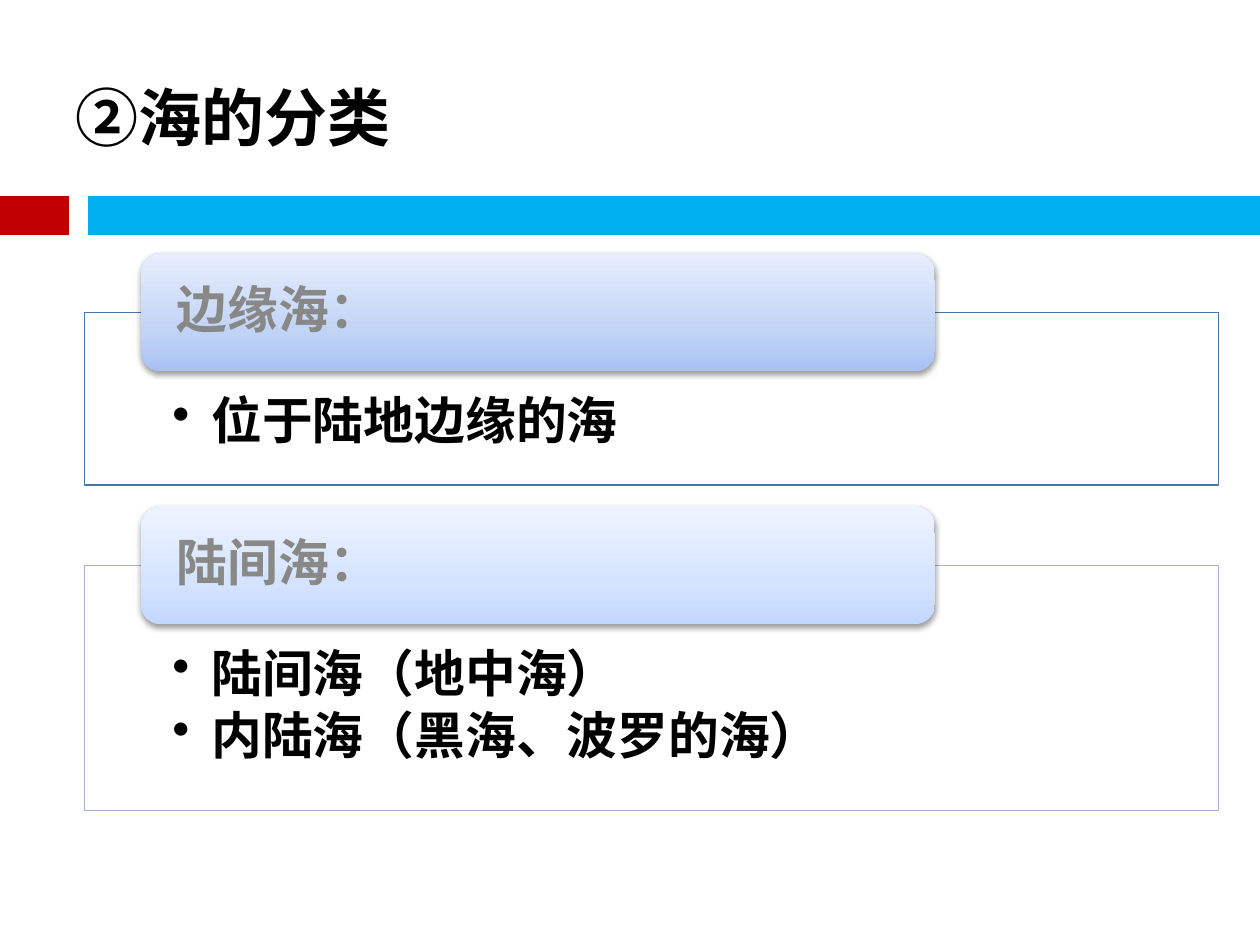
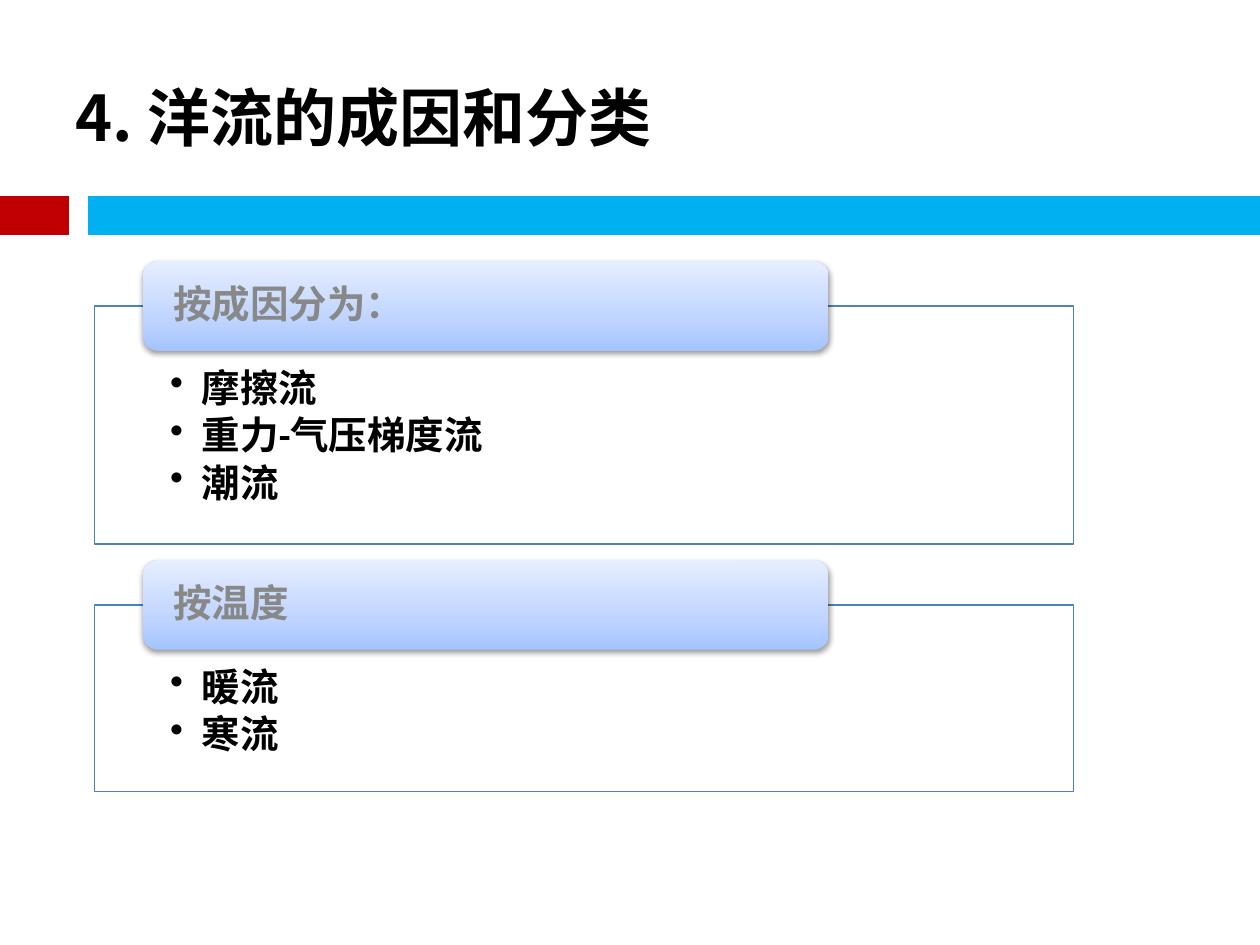
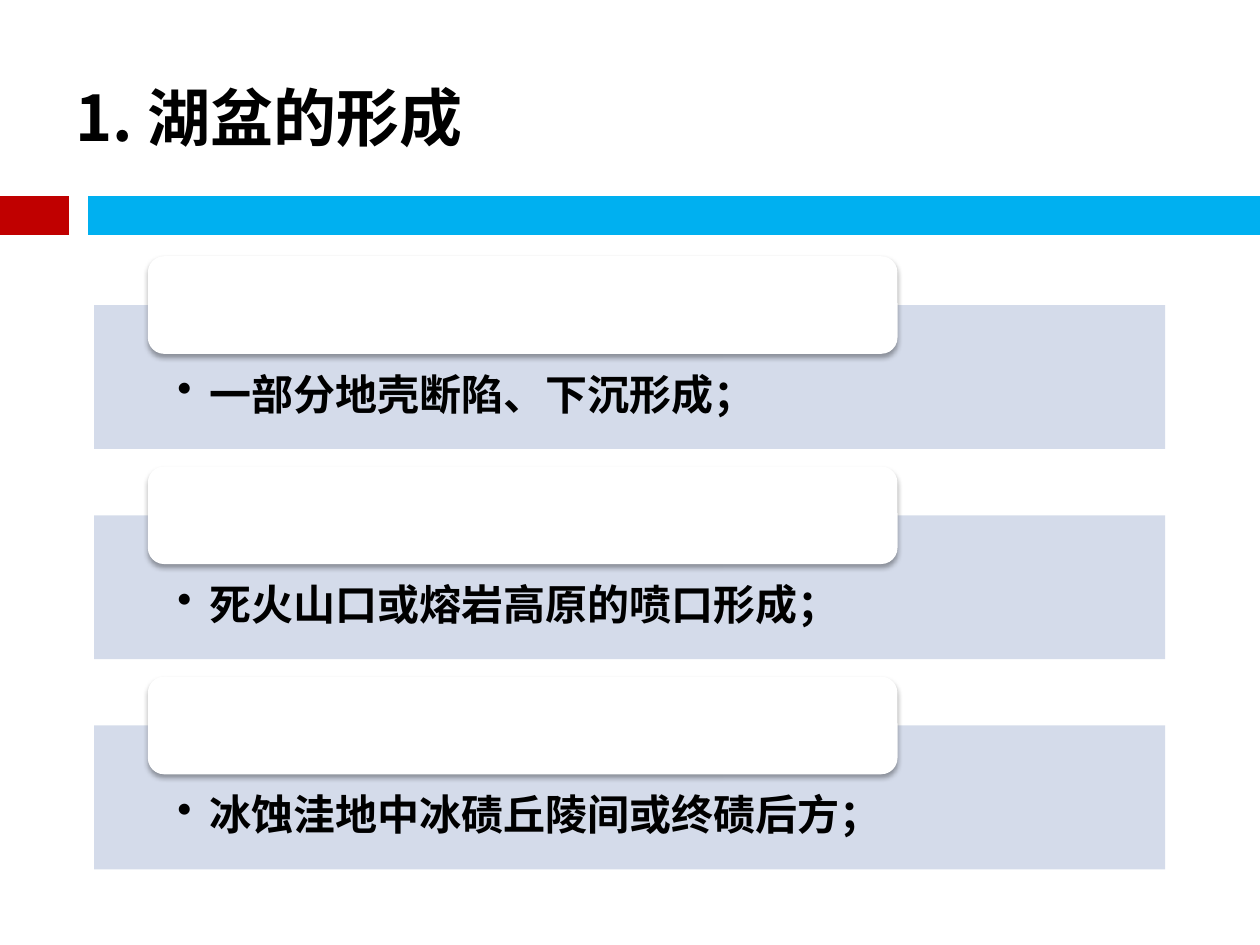
from dataclasses import dataclass

from lxml.etree import SubElement
from pptx import Presentation
from pptx.dml.color import RGBColor
from pptx.enum.shapes import MSO_CONNECTOR, MSO_SHAPE
from pptx.enum.text import MSO_ANCHOR, MSO_AUTO_SIZE, PP_ALIGN
from pptx.oxml.ns import qn
from pptx.util import Cm, Pt

TITLE_FONT, BODY_FONT = "Noto Sans CJK SC", "Calibri"
BLACK, GREY, WHITE = "000000", "888887", "FFFFFF"
RED, CYAN, BLUE = "C00000", "00B0F0", "4F81BD"
BAND_TOP = 4.34
BANDS = ((0, 1.4, RED), (1.78, 25.4, CYAN))
GRADIENT_POSITIONS = (0, 35, 100)
SKY_GRADIENT = ("A4C4FF", "BFD4FF", "E6EEFF")


@dataclass(frozen=True)
class Panel:
    """A box with bullets and a heading tab on its top edge (cm)."""
    heading: str
    bullets: tuple[str, ...]
    height: float
    fill: str = WHITE
    outline: str | None = BLUE
    gradient: tuple[str, ...] | None = SKY_GRADIENT


@dataclass(frozen=True)
class Board:
    """A titled stack of panels (cm, text size in points)."""
    title: str
    left: float
    top: float
    width: float
    text_size: int
    indent: float
    panels: tuple[Panel, ...]
    shadow_alpha: int = 38
    shadow_distance: float = 1.6

    @property
    def tab_height(self) -> float:
        return self.text_size * 0.082


def lake_panel(bullet: str) -> Panel:
    return Panel("", (bullet,), 2.9, "D0D8E8", None, None)


BOARDS = (
    Board("②海的分类", 1.7, 6.3, 22.86, 29, 0.79, (
        Panel("边缘海：", ("位于陆地边缘的海",), 3.48, WHITE, "4875AC",
              ("A8C2F4", "C2D4F6", "E7EEFD")),
        Panel("陆间海：", ("陆间海（地中海）", "内陆海（黑海、波罗的海）"), 4.95,
              WHITE, "A2B4D4", ("C3D8FE", "D4E3FE", "EEF4FF")),
    )),
    Board("4. 洋流的成因和分类", 1.9, 6.17, 19.74, 22, 0.64, (
        Panel("按成因分为：", ("摩擦流", "重力-气压梯度流", "潮流"), 4.8),
        Panel("按温度", ("暖流", "寒流"), 3.76),
    )),
    Board("1. 湖盆的形成", 1.9, 6.15, 21.59, 24, 0.64, (
        lake_panel("一部分地壳断陷、下沉形成；"),
        lake_panel("死火山口或熔岩高原的喷口形成；"),
        lake_panel("冰蚀洼地中冰碛丘陵间或终碛后方；"),
    ), 35, 1.8),
)


def rgb(color: str) -> RGBColor:
    return RGBColor.from_string(color)


def format_paragraph(paragraph, font_name: str, size: float, color: str) -> None:
    paragraph.alignment = PP_ALIGN.LEFT
    font = paragraph.font
    font.name, font.size, font.bold = font_name, Pt(size), True
    font.color.rgb = rgb(color)
    properties = paragraph._p.pPr.find(qn("a:defRPr"))
    SubElement(properties, qn("a:ea"), typeface=font_name)


def set_insets(frame, side: float, top: float = 0, bottom: float = 0) -> None:
    frame.word_wrap = True
    frame.margin_left = frame.margin_right = Cm(side)
    frame.margin_top, frame.margin_bottom = Cm(top), Cm(bottom)


def add_bullet(paragraph, indent: float) -> None:
    properties = paragraph._p.get_or_add_pPr()
    properties.set("marL", str(Cm(indent)))
    properties.set("indent", str(-Cm(indent)))
    SubElement(properties, qn("a:buChar"), char="•")


def fill_text(frame, lines: tuple[str, ...], size: int, color: str,
              space_after: float, indent: float = 0) -> None:
    """Write one paragraph a line; a positive indent makes them bullets."""
    for index, line in enumerate(lines):
        paragraph = frame.add_paragraph() if index else frame.paragraphs[0]
        paragraph.text = line
        if indent:
            add_bullet(paragraph, indent)
        paragraph.line_spacing = 0.9
        paragraph.space_after = Pt(size * space_after)
        format_paragraph(paragraph, BODY_FONT, size, color)


def set_gradient(shape, colors: tuple[str, ...]) -> None:
    shape.fill.gradient()
    shape.fill.gradient_angle = 90
    stops = shape._element.spPr.find(qn("a:gradFill")).find(qn("a:gsLst"))
    stops.clear()
    for position, color in zip(GRADIENT_POSITIONS, colors):
        stop = SubElement(stops, qn("a:gs"), pos=str(position * 1000))
        SubElement(stop, qn("a:srgbClr"), val=color)


def set_shadow(shape, alpha: int, distance: float) -> None:
    effects = shape._element.spPr.find(qn("a:effectLst"))
    shadow = SubElement(effects, qn("a:outerShdw"), blurRad=str(Pt(3.1)),
                        dist=str(Pt(distance)), dir="5400000", rotWithShape="0")
    color = SubElement(shadow, qn("a:srgbClr"), val=BLACK)
    SubElement(color, qn("a:alpha"), val=str(alpha * 1000))


def add_box(slide, kind, left: float, top: float, width: float, height: float):
    shape = slide.shapes.add_shape(kind, Cm(left), Cm(top), Cm(width), Cm(height))
    shape.shadow.inherit = False
    return shape


def add_panel(slide, board: Board, panel: Panel, top: float) -> None:
    box = add_box(slide, MSO_SHAPE.RECTANGLE, board.left, top, board.width, panel.height)
    box.fill.solid()
    box.fill.fore_color.rgb = rgb(panel.fill)
    color = box._element.spPr.find(qn("a:solidFill")).find(qn("a:srgbClr"))
    SubElement(color, qn("a:alpha"), val="90000")
    if panel.outline:
        box.line.color.rgb = rgb(panel.outline)
        box.line.width = Pt(0.75)
    else:
        box.line.fill.background()
    frame = box.text_frame
    frame.vertical_anchor = MSO_ANCHOR.TOP
    set_insets(frame, board.width * 0.0776, board.tab_height * 0.705, board.tab_height * 0.245)
    fill_text(frame, panel.bullets, board.text_size, BLACK, 0.15, board.indent)


def add_tab(slide, board: Board, panel: Panel, panel_top: float) -> None:
    tab = add_box(slide, MSO_SHAPE.ROUNDED_RECTANGLE, board.left + board.width * 0.05,
                  panel_top - board.tab_height / 2, board.width * 0.7, board.tab_height)
    tab.line.fill.background()
    if panel.gradient:
        set_gradient(tab, panel.gradient)
    else:
        tab.fill.solid()
        tab.fill.fore_color.rgb = rgb(WHITE)
    set_shadow(tab, board.shadow_alpha, board.shadow_distance)
    if panel.heading:
        tab.text_frame.vertical_anchor = MSO_ANCHOR.MIDDLE
        set_insets(tab.text_frame, board.width * 0.0265)
        fill_text(tab.text_frame, (panel.heading,), board.text_size, GREY, 0.35)


def add_bands(slide) -> None:
    for start, end, color in BANDS:
        band = slide.shapes.add_connector(MSO_CONNECTOR.STRAIGHT, Cm(start), Cm(BAND_TOP),
                                          Cm(end), Cm(BAND_TOP))
        band.line.color.rgb = rgb(color)
        band.line.width = Pt(22)
        SubElement(band._element.spPr, qn("a:effectLst"))


def set_title(slide, text: str) -> None:
    title = slide.shapes.title
    title.left, title.top = Cm(1.27), Cm(0.76)
    title.width, title.height = Cm(22.86), Cm(3.18)
    frame = title.text_frame
    frame.text = text
    frame.auto_size = MSO_AUTO_SIZE.NONE
    frame.vertical_anchor = MSO_ANCHOR.MIDDLE
    format_paragraph(frame.paragraphs[0], TITLE_FONT, 36, BLACK)


def add_board(presentation, board: Board) -> None:
    slide = presentation.slides.add_slide(presentation.slide_layouts[5])
    add_bands(slide)
    set_title(slide, board.title)
    top = board.top
    for panel in board.panels:
        add_panel(slide, board, panel, top)
        add_tab(slide, board, panel, top)
        top += panel.height + board.tab_height * (0.5 + 0.18)


def main() -> None:
    presentation = Presentation()
    presentation.slide_width, presentation.slide_height = Cm(25.4), Cm(19.05)
    for board in BOARDS:
        add_board(presentation, board)
    presentation.save("out.pptx")


if __name__ == "__main__":
    main()
